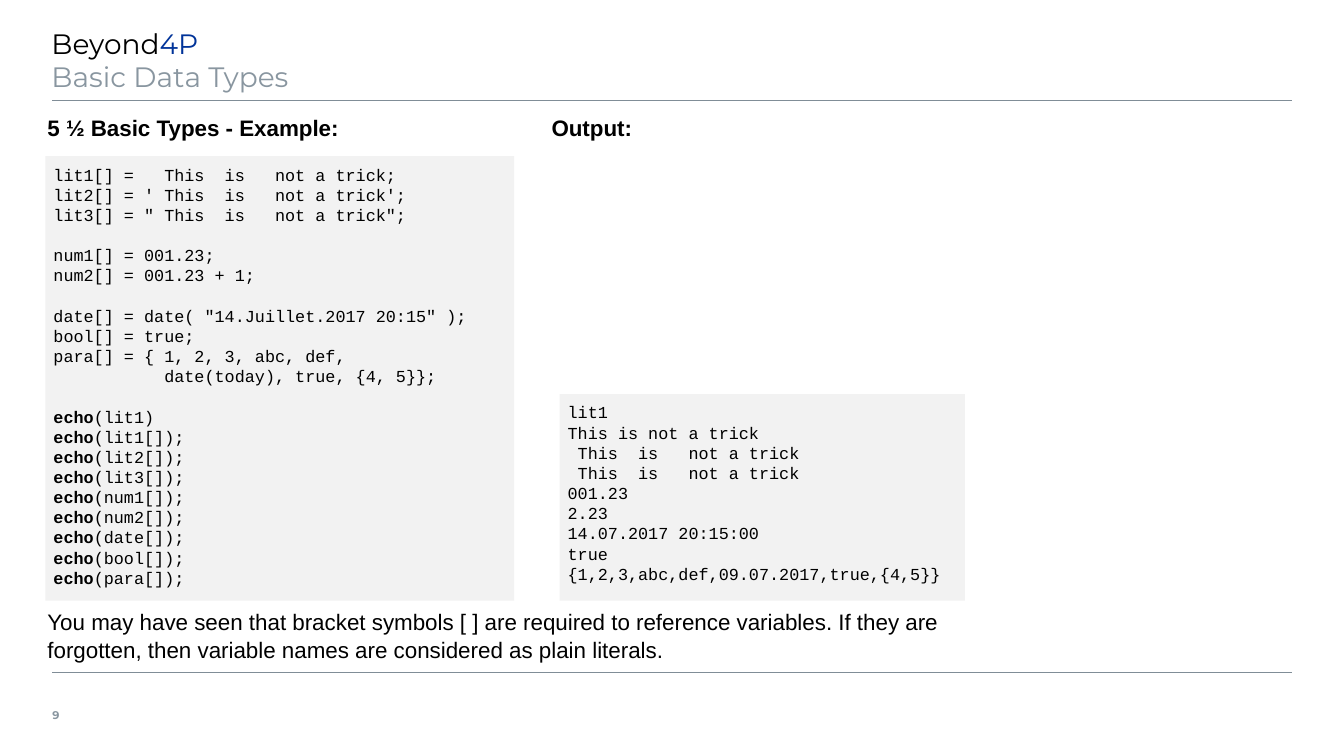
import pptx
import pptx.dml.color
import pptx.enum.shapes
import pptx.enum.text
import pptx.util
from dataclasses import dataclass
from pptx.util import Inches


@dataclass(frozen=True)
class Theme:
    black: str = "000000"
    blue: str = "003399"
    gray: str = "8996A0"
    rule: str = "808D97"
    panel: str = "F2F2F2"
    heading_font: str = "Montserrat"
    body_font: str = "Arial"
    code_font: str = "Courier New"
    title_size: float = 20
    body_size: float = 16
    code_size: float = 12
    code_pitch: float = 14.4
    number_size: float = 8


THEME = Theme()

SOURCE_CODE = """lit1[] =   This  is   not a trick;
lit2[] = ' This  is   not a trick';
lit3[] = " This  is   not a trick";

num1[] = 001.23;
num2[] = 001.23 + 1;

date[] = date( "14.Juillet.2017 20:15" );
bool[] = true;
para[] = { 1, 2, 3, abc, def,
           date(today), true, {4, 5}};

echo(lit1)
echo(lit1[]);
echo(lit2[]);
echo(lit3[]);
echo(num1[]);
echo(num2[]);
echo(date[]);
echo(bool[]);
echo(para[]);"""

OUTPUT = """lit1
This is not a trick
 This  is   not a trick
 This  is   not a trick
001.23
2.23
14.07.2017 20:15:00
true
{1,2,3,abc,def,09.07.2017,true,{4,5}}"""

EXPLANATION = (
    "You may have seen that bracket symbols [ ] are required to reference variables. "
    "If they are forgotten, then variable names are considered as plain literals."
)


def rgb(value):
    return pptx.dml.color.RGBColor.from_string(value)


def write(paragraph, text, font=THEME.body_font, size=THEME.body_size,
          color=THEME.black, bold=False, line_spacing=None, space_before=0):
    paragraph.alignment = pptx.enum.text.PP_ALIGN.LEFT
    paragraph.space_before = pptx.util.Pt(space_before)
    if line_spacing is not None:
        paragraph.line_spacing = line_spacing
    run = paragraph.add_run()
    run.text = text
    run.font.name = font
    run.font.size = pptx.util.Pt(size)
    run.font.color.rgb = rgb(color)
    run.font.bold = bold


def prepare_frame(shape, margins, wrap=True, anchor=pptx.enum.text.MSO_ANCHOR.TOP):
    frame = shape.text_frame
    frame.auto_size = pptx.enum.text.MSO_AUTO_SIZE.NONE
    frame.word_wrap = wrap
    frame.vertical_anchor = anchor
    (frame.margin_left, frame.margin_top,
     frame.margin_right, frame.margin_bottom) = map(Inches, margins)
    return frame


def add_title(slide, left, top, width, height):
    title = slide.shapes.title
    title.left, title.top, title.width, title.height = map(Inches, (left, top, width, height))
    paragraph = prepare_frame(title, (0, 0.05, 0.1, 0.05)).paragraphs[0]
    style = {"font": THEME.heading_font, "size": THEME.title_size, "line_spacing": 1.0}
    write(paragraph, "Beyond", **style)
    write(paragraph, "4P", color=THEME.blue, **style)
    paragraph.add_line_break()
    write(paragraph, "Basic Data Types", color=THEME.gray, **style)


def add_rule(slide, left, top, width):
    line = slide.shapes.add_connector(
        pptx.enum.shapes.MSO_CONNECTOR.STRAIGHT,
        Inches(left), Inches(top), Inches(left + width), Inches(top))
    line.line.color.rgb = rgb(THEME.rule)
    line.line.width = pptx.util.Pt(1)
    properties = line._element.spPr
    properties.append(properties.makeelement(pptx.oxml.ns.qn("a:effectLst"), {}))


def add_body_text(slide, text, left, top, width, height, **style):
    box = slide.shapes.add_textbox(*map(Inches, (left, top, width, height)))
    frame = prepare_frame(box, (0.08, 0.05, 0.08, 0.05))
    write(frame.paragraphs[0], text, line_spacing=1.05, **style)


def add_code_panel(slide, code, left, top, width, height):
    panel = slide.shapes.add_shape(
        pptx.enum.shapes.MSO_SHAPE.RECTANGLE, *map(Inches, (left, top, width, height)))
    panel.shadow.inherit = False
    panel.fill.solid()
    panel.fill.fore_color.rgb = rgb(THEME.panel)
    panel.line.fill.background()
    frame = prepare_frame(panel, (0.08,) * 4, wrap=False)
    paragraph = frame.paragraphs[0]
    for block_index, block in enumerate(code.split("\n\n")):
        for line_index, line in enumerate(block.split("\n")):
            if block_index or line_index:
                paragraph = frame.add_paragraph()
            gap = THEME.code_pitch if block_index and not line_index else 0
            style = {"font": THEME.code_font, "size": THEME.code_size,
                     "line_spacing": pptx.util.Pt(THEME.code_pitch), "space_before": gap}
            if line.startswith("echo"):
                write(paragraph, "echo", bold=True, **style)
                line = line.removeprefix("echo")
            write(paragraph, line, **style)


def add_slide_number(slide, left, top, width, height):
    box = slide.shapes.add_textbox(*map(Inches, (left, top, width, height)))
    frame = prepare_frame(box, (0, 0.05, 0.08, 0.05), wrap=False,
                          anchor=pptx.enum.text.MSO_ANCHOR.MIDDLE)
    write(frame.paragraphs[0], "9", font=THEME.heading_font,
          size=THEME.number_size, color=THEME.gray, bold=True)


def build_code_example_slide(presentation):
    slide = presentation.slides.add_slide(presentation.slide_layouts[5])
    for top in (1, 6.67):
        add_rule(slide, 0.52, top, 12.29)
    add_slide_number(slide, 0.52, 6.9, 0.47, 0.39)
    add_title(slide, 0.51, 0.21, 12.28, 0.79)
    add_body_text(slide, "5 ½ Basic Types - Example:", 0.39, 1.07, 4.71, 0.4, bold=True)
    add_body_text(slide, "Output:", 5.39, 1.07, 4.18, 0.4, bold=True)
    add_code_panel(slide, SOURCE_CODE, 0.45, 1.55, 4.65, 4.41)
    add_code_panel(slide, OUTPUT, 5.55, 3.91, 4.02, 2.05)
    add_body_text(slide, EXPLANATION, 0.39, 5.97, 9.18, 0.65)


def main():
    presentation = pptx.Presentation()
    presentation.slide_width = Inches(13.33)
    presentation.slide_height = Inches(7.5)
    build_code_example_slide(presentation)
    presentation.save("out.pptx")


if __name__ == "__main__":
    main()
